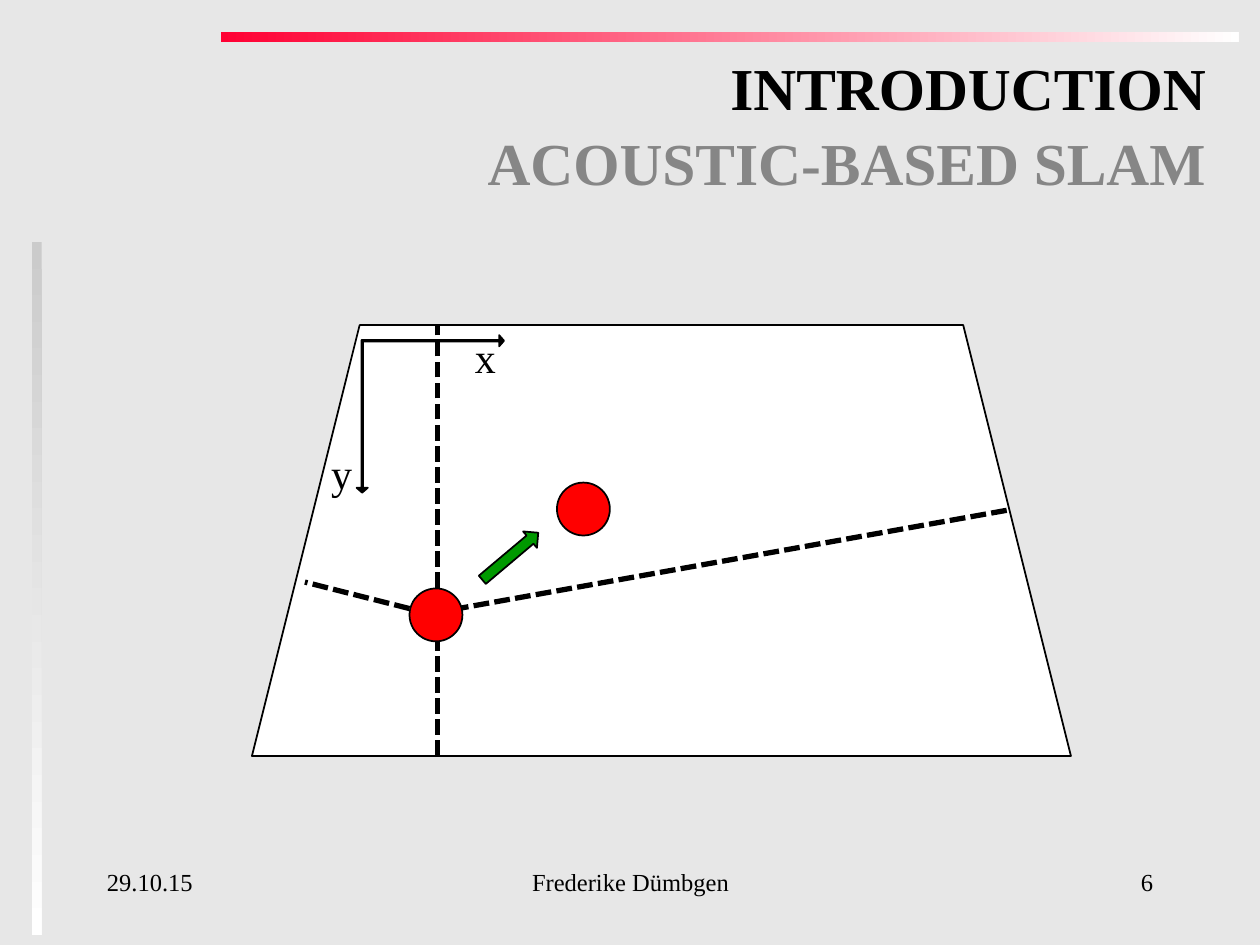
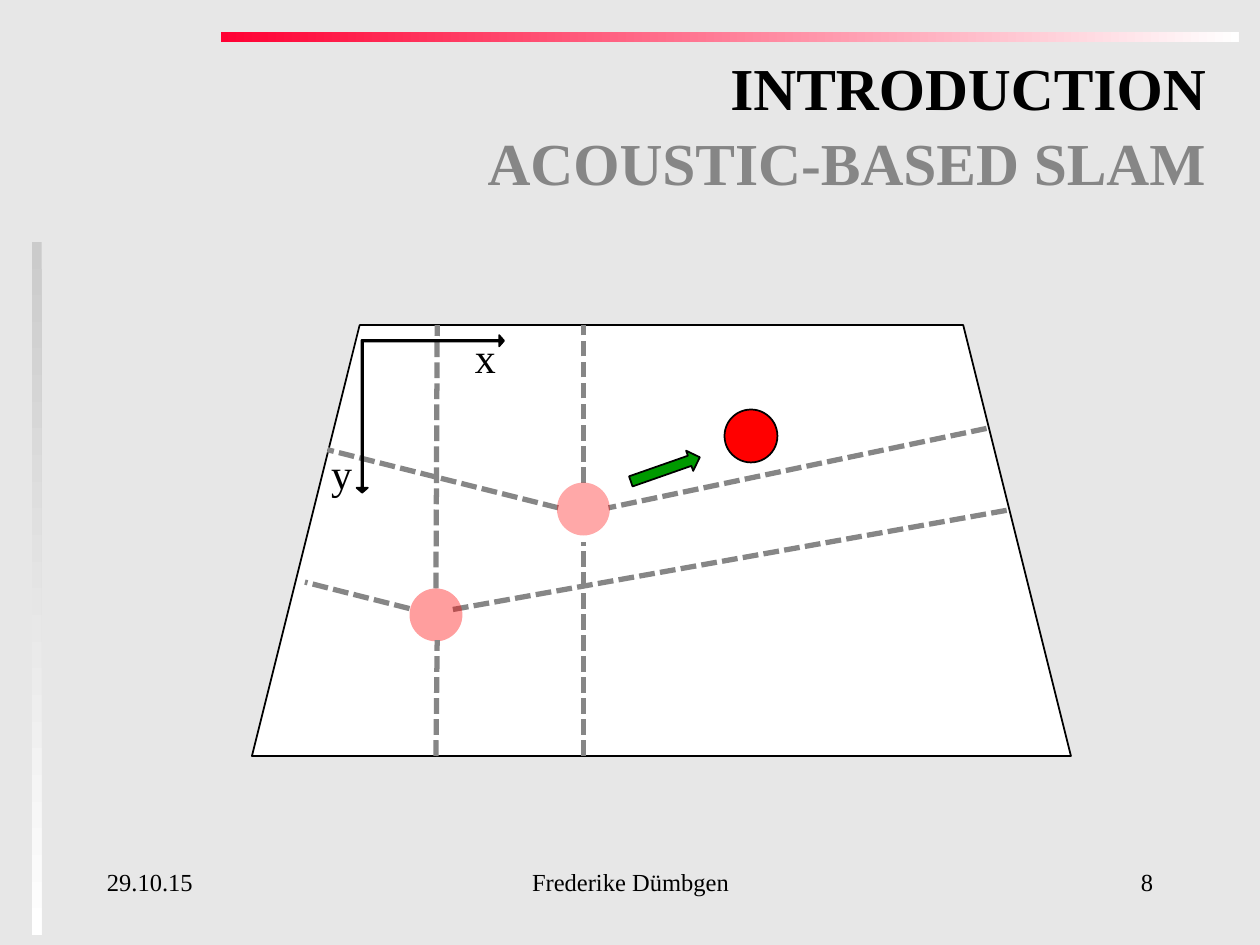
from copy import deepcopy

from lxml.etree import SubElement
from pptx import Presentation
from pptx.dml.color import RGBColor
from pptx.enum.dml import MSO_LINE
from pptx.enum.shapes import MSO_CONNECTOR, MSO_SHAPE
from pptx.enum.text import MSO_ANCHOR, MSO_AUTO_SIZE, PP_ALIGN
from pptx.oxml.ns import qn
from pptx.util import Inches, Pt

BLACK, WHITE, GRAY = "000000", "FFFFFF", "868686"
RED, GREEN, BACKGROUND = "FF0000", "009900", "E7E7E7"
FONT = "Times New Roman"
START, MIDDLE, GOAL = (3.25, 4.67), (4.42, 3.83), (5.75, 3.25)
START_TO_LEFT = (3.25, 4.83, 2.42, 4.62)
START_TO_RIGHT = (7.99, 4.05, 3.58, 4.84)


def color(value):
    return RGBColor.from_string(value)


def apply(target, values):
    for name, value in values.items():
        setattr(target, name, value)


class SlamDeck:
    def __init__(self):
        self.deck = Presentation()
        self.deck.slide_width, self.deck.slide_height = Inches(10), Inches(7.5)
        fill = self.deck.slide_master.background.fill
        fill.solid()
        fill.fore_color.rgb = color(BACKGROUND)

    def new_page(self, number):
        self.page = self.deck.slides.add_slide(self.deck.slide_layouts[5])
        self.band(1.75, 0.25, 8.08, 0.08, "FF0033", 0)
        self.band(0.25, 1.92, 0.08, 5.5, "CBCBCB", 270)
        self.title("INTRODUCTION", "ACOUSTIC-BASED SLAM")
        self.label("29.10.15", 0.75, 6.83, 2.08, 14)
        self.label("Frederike Dümbgen", 3.42, 6.83, 3.17, 14, PP_ALIGN.CENTER)
        self.label(number, 7.17, 6.83, 2.08, 14, PP_ALIGN.RIGHT)
        self.shape(MSO_SHAPE.TRAPEZOID, 2, 2.58, 6.5, 3.42, WHITE)

    def add(self, kind, left, top, width, height):
        shape = self.page.shapes.add_shape(
            kind, Inches(left), Inches(top), Inches(width), Inches(height))
        shape.shadow.inherit = False
        return shape

    def band(self, left, top, width, height, start, angle):
        band = self.add(MSO_SHAPE.RECTANGLE, left, top, width, height)
        band.line.fill.background()
        band.fill.gradient()
        band.fill.gradient_angle = angle
        for stop, value in zip(band.fill.gradient_stops, (start, WHITE)):
            stop.color.rgb = color(value)

    def shape(self, kind, left, top, width, height, fill, rotation=0):
        shape = self.add(kind, left, top, width, height)
        shape.rotation = rotation
        shape.fill.solid()
        shape.fill.fore_color.rgb = color(fill)
        shape.line.color.rgb = color(BLACK)
        shape.line.width = Pt(1)
        return shape

    def format_span(self, span, size, value, bold=False):
        apply(span.font, {"name": FONT, "size": Pt(size), "bold": bold})
        span.font.color.rgb = color(value)

    def title(self, heading, subheading):
        box = self.page.shapes.title
        apply(box, {"left": Inches(1.92), "top": Inches(0.33),
                    "width": Inches(7.75), "height": Inches(1.75)})
        apply(box.text_frame, {"vertical_anchor": MSO_ANCHOR.TOP,
                               "auto_size": MSO_AUTO_SIZE.NONE, "word_wrap": True})
        para = box.text_frame.paragraphs[0]
        apply(para, {"alignment": PP_ALIGN.RIGHT, "line_spacing": 1.05})
        span = para.add_run()
        span.text = heading
        self.format_span(span, 34, BLACK, True)
        para.add_line_break()
        para._p[-1].append(deepcopy(span._r.rPr))
        span = para.add_run()
        span.text = subheading
        self.format_span(span, 34, GRAY, True)

    def label(self, text, left, top, width, size, alignment=PP_ALIGN.LEFT, wrap=True):
        box = self.page.shapes.add_textbox(
            Inches(left), Inches(top), Inches(width), Inches(0.5))
        box.text_frame.word_wrap = wrap
        if not wrap:
            box.text_frame.auto_size = MSO_AUTO_SIZE.SHAPE_TO_FIT_TEXT
        para = box.text_frame.paragraphs[0]
        para.alignment = alignment
        span = para.add_run()
        span.text = text
        self.format_span(span, size, BLACK)

    def echo(self, value, *ends):
        line = self.page.shapes.add_connector(
            MSO_CONNECTOR.STRAIGHT, *[Inches(end) for end in ends])
        line.line.color.rgb = color(value)
        apply(line.line, {"width": Pt(3), "dash_style": MSO_LINE.SQUARE_DOT})
        SubElement(line._element.spPr, qn("a:effectLst"))

    def robot(self, position, opacity=100):
        robot = self.shape(MSO_SHAPE.OVAL, *position, 0.42, 0.42, RED)
        if opacity < 100:
            robot.line.fill.background()
            shade = robot._element.spPr.find(qn("a:solidFill"))[0]
            SubElement(shade, qn("a:alpha"), val=str(opacity * 1000))

    def move(self, left, top, rotation):
        self.shape(MSO_SHAPE.RIGHT_ARROW, left, top, 0.58, 0.17, GREEN, rotation)

    def axes(self):
        axes = self.shape(MSO_SHAPE.LEFT_UP_ARROW, 2.83, 2.66, 1.17, 1.25, BLACK, 180)
        for index, value in enumerate((0.01, 0.038, 0.033)):
            axes.adjustments[index] = value
        self.label("y", 2.53, 3.5, 0.38, 24, wrap=False)
        self.label("x", 3.67, 2.58, 0.37, 24, wrap=False)


def first_step(slam):
    slam.new_page("6")
    slam.move(3.76, 4.33, 319.9)
    for ends in ((3.47, 6, 3.47, 2.58), START_TO_LEFT, START_TO_RIGHT):
        slam.echo(BLACK, *ends)
    slam.robot(START)
    slam.robot(MIDDLE)
    slam.axes()


def second_step(slam):
    slam.new_page("8")
    for ends in ((4.63, 3.83, 4.63, 2.58), (3.46, 4.67, 3.47, 2.58),
                 START_TO_LEFT, START_TO_RIGHT):
        slam.echo(GRAY, *ends)
    slam.robot(START, 38)
    for ends in ((4.43, 4.03, 2.6, 3.57), (7.83, 3.4, 4.83, 4.03)):
        slam.echo(GRAY, *ends)
    slam.robot(MIDDLE, 34)
    slam.echo(GRAY, 3.46, 6, 3.47, 5.08)
    slam.move(4.99, 3.64, 340.7)
    slam.robot(GOAL)
    slam.echo(GRAY, 4.63, 6, 4.63, 4.3)
    slam.axes()


def main():
    slam = SlamDeck()
    first_step(slam)
    second_step(slam)
    slam.deck.save("out.pptx")


if __name__ == "__main__":
    main()
